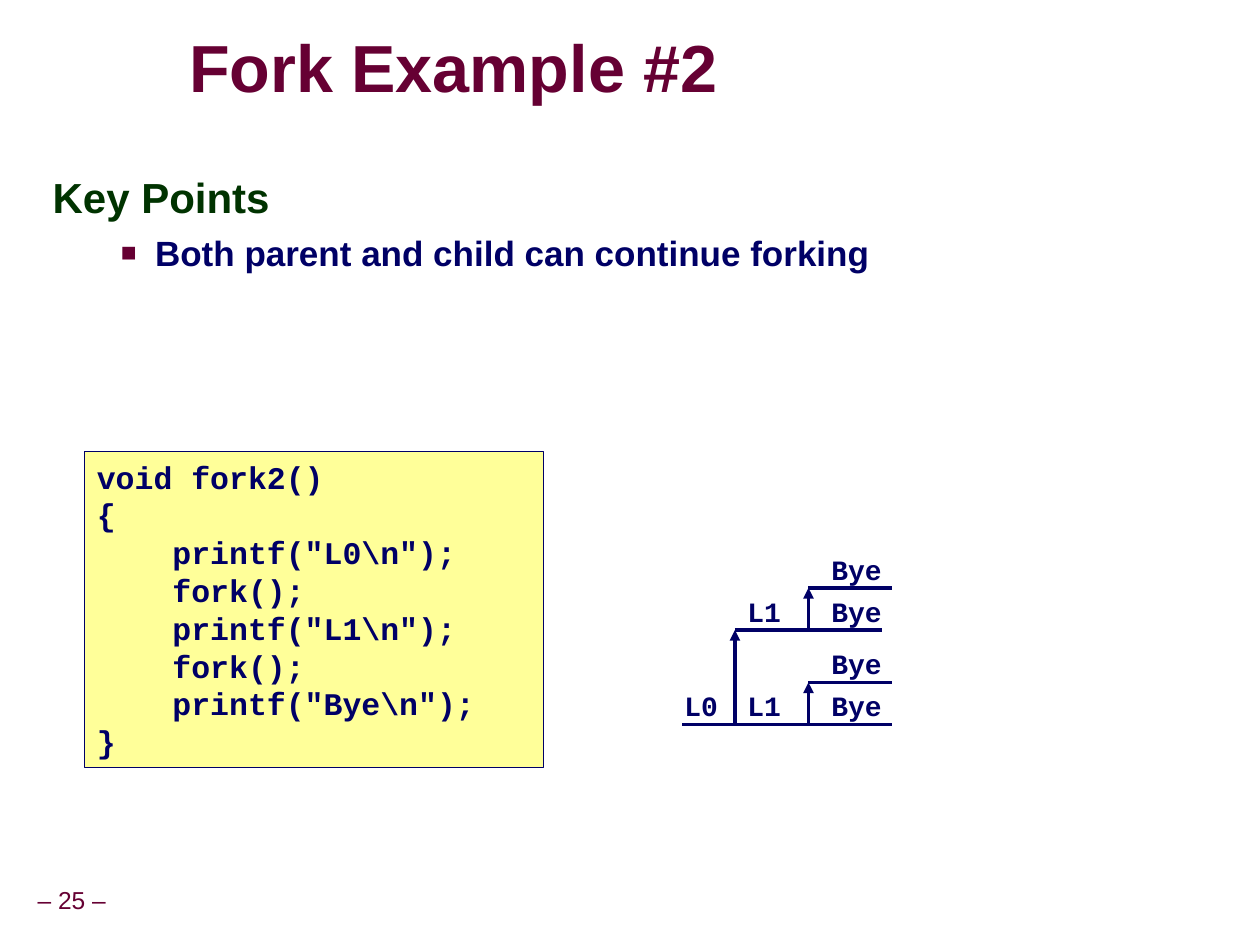
from lxml.etree import SubElement
from pptx import Presentation
from pptx.dml.color import RGBColor
from pptx.enum.shapes import MSO_CONNECTOR as Connector, MSO_SHAPE as Preset
from pptx.enum.text import MSO_ANCHOR as Anchor, MSO_AUTO_SIZE as AutoSize, PP_ALIGN as Align
from pptx.oxml import parse_xml
from pptx.oxml.ns import nsdecls, qn
from pptx.util import Pt

TITLE = "Fork Example #2"
HEADING = "Key Points"
POINT = "Both parent and child can continue forking"
PAGE = "– 25 –"
CODE = [
    "void fork2()",
    "{",
    '    printf("L0\\n");',
    "    fork();",
    '    printf("L1\\n");',
    "    fork();",
    '    printf("Bye\\n");',
    "}",
]

# Process diagram: columns are fork times, rows are processes
START, FORK_1, FORK_2, END = 390, 420, 462, 510
PARENT, CHILD = 414, 360
FORK_2_RISE = 24
LABEL_RISE = 24
LABEL_HEIGHT = 26.6
BYE_LEFT = 468

THEME = {
    "title": {"size": Pt(38), "name": "Arial", "bold": True, "color": "660033"},
    "heading": {"size": Pt(24), "name": "Arial", "bold": True, "color": "003300"},
    "point": {"size": Pt(20), "name": "Arial", "bold": True, "color": "000066"},
    "code": {"size": Pt(18), "name": "Courier New", "bold": True, "color": "000066"},
    "label": {"size": Pt(16), "name": "Courier New", "bold": True, "color": "000066"},
    "page": {"size": Pt(14), "name": "Arial", "bold": False, "color": "660033"},
    "code_fill": "FFFF99",
    "line": "000066",
    "bullet": "660033",
}


def color(name):
    """Return the theme colour with this name."""
    return RGBColor.from_string(THEME[name])


def set_values(target, values):
    """Set every attribute in a dict of format values."""
    for name, value in values.items():
        setattr(target, name, value)


def write(paragraph, text, style, **layout):
    """Put one styled run in a paragraph and return the run."""
    run = paragraph.add_run()
    run.text = text
    values = dict(THEME[style])
    run.font.color.rgb = RGBColor.from_string(values.pop("color"))
    set_values(run.font, values)
    set_values(paragraph, layout)
    return run


def format_frame(shape, inset_x=7.2, inset_y=3.6, wrap=True, anchor=Anchor.TOP):
    """Set the frame of a shape and return its text frame."""
    frame = shape.text_frame
    set_values(frame, {
        "margin_left": Pt(inset_x), "margin_right": Pt(inset_x),
        "margin_top": Pt(inset_y), "margin_bottom": Pt(inset_y),
        "auto_size": AutoSize.NONE, "word_wrap": wrap, "vertical_anchor": anchor,
    })
    return frame


def add_box(slide, left, top, width, height, **frame_values):
    """Add a text box and return its text frame."""
    box = slide.shapes.add_textbox(Pt(left), Pt(top), Pt(width), Pt(height))
    return format_frame(box, **frame_values)


def add_title(slide):
    """Place the title and give its letters a soft shadow."""
    title = slide.shapes.title
    set_values(title, {"left": Pt(108), "top": Pt(18), "width": Pt(401), "height": Pt(45.4)})
    frame = format_frame(title, 0, 0, anchor=Anchor.MIDDLE)
    run = write(frame.paragraphs[0], TITLE, "title", alignment=Align.LEFT, line_spacing=0.87)
    run.font.fill._xPr.find(qn("a:solidFill")).addnext(parse_xml(
        f'<a:effectLst {nsdecls("a")}><a:outerShdw blurRad="38100" dist="38100" dir="2700000">'
        '<a:srgbClr val="C0C0C0"/></a:outerShdw></a:effectLst>'))


def add_key_points(slide):
    """Add the heading and its bulleted point."""
    frame = add_box(slide, 23, 96.5, 654.5, 411)
    write(frame.paragraphs[0], HEADING, "heading", line_spacing=0.95)
    paragraph = frame.add_paragraph()
    write(paragraph, POINT, "point", space_before=Pt(5))
    properties = paragraph._p.get_or_add_pPr()
    properties.set("marL", str(Pt(58.5)))
    properties.set("indent", str(-Pt(19.5)))
    bullet_color = SubElement(properties, qn("a:buClr"))
    SubElement(bullet_color, qn("a:srgbClr"), val=THEME["bullet"])
    SubElement(properties, qn("a:buSzPct"), val="75000")
    SubElement(properties, qn("a:buFont"), typeface="Arial")
    SubElement(properties, qn("a:buChar"), char="■")


def add_code(slide):
    """Add the program listing in its filled box."""
    box = slide.shapes.add_shape(Preset.RECTANGLE, Pt(48.25), Pt(258), Pt(262), Pt(180.5))
    box.shadow.inherit = False
    box.fill.solid()
    box.fill.fore_color.rgb = color("code_fill")
    box.line.color.rgb = color("line")
    box.line.width = Pt(0.25)
    frame = format_frame(box)
    for index, text in enumerate(CODE):
        paragraph = frame.add_paragraph() if index else frame.paragraphs[0]
        write(paragraph, text, "code", alignment=Align.LEFT)


def add_line(slide, x1, y1, x2, y2, arrow=False):
    """Add a straight line, with an arrowhead at its end if wanted."""
    line = slide.shapes.add_connector(Connector.STRAIGHT, Pt(x1), Pt(y1), Pt(x2), Pt(y2))
    line.line.color.rgb = color("line")
    line.line.width = Pt(2)
    if arrow:
        SubElement(line.line._get_or_add_ln(), qn("a:tailEnd"), type="triangle")
    SubElement(line._element.spPr, qn("a:effectLst"))


def add_label(slide, text, left, row):
    """Add an output label standing on a process line."""
    width = 14.4 + 9.6 * len(text)
    frame = add_box(slide, left, row - LABEL_RISE, width, LABEL_HEIGHT, wrap=False)
    write(frame.paragraphs[0], text, "label")


def add_diagram(slide):
    """Draw the processes, their forks and what each one prints."""
    add_line(slide, START, PARENT, FORK_1, PARENT)
    add_label(slide, "L0", 384, PARENT)
    add_line(slide, FORK_1, PARENT, FORK_1, CHILD, arrow=True)
    for row, end in ((PARENT, END), (CHILD, 504)):
        branch = row - FORK_2_RISE
        add_line(slide, FORK_1, row, FORK_2, row)
        add_line(slide, FORK_2, row, end, row)
        add_line(slide, FORK_2, row, FORK_2, branch, arrow=True)
        add_line(slide, FORK_2, branch, END, branch)
        add_label(slide, "L1", FORK_1, row)
        for bye_row in (row, branch):
            add_label(slide, "Bye", BYE_LEFT, bye_row)


def add_page(slide):
    """Add the page number."""
    frame = add_box(slide, 17.25, 504, 47.5, 22.3, inset_x=3.6, wrap=False, anchor=Anchor.MIDDLE)
    write(frame.paragraphs[0], PAGE, "page", alignment=Align.CENTER, line_spacing=0.9)


presentation = Presentation()
set_values(presentation, {"slide_width": Pt(720), "slide_height": Pt(540)})
slide = presentation.slides.add_slide(presentation.slide_layouts[5])
for add_part in (add_page, add_title, add_code, add_key_points, add_diagram):
    add_part(slide)
presentation.save("out.pptx")
